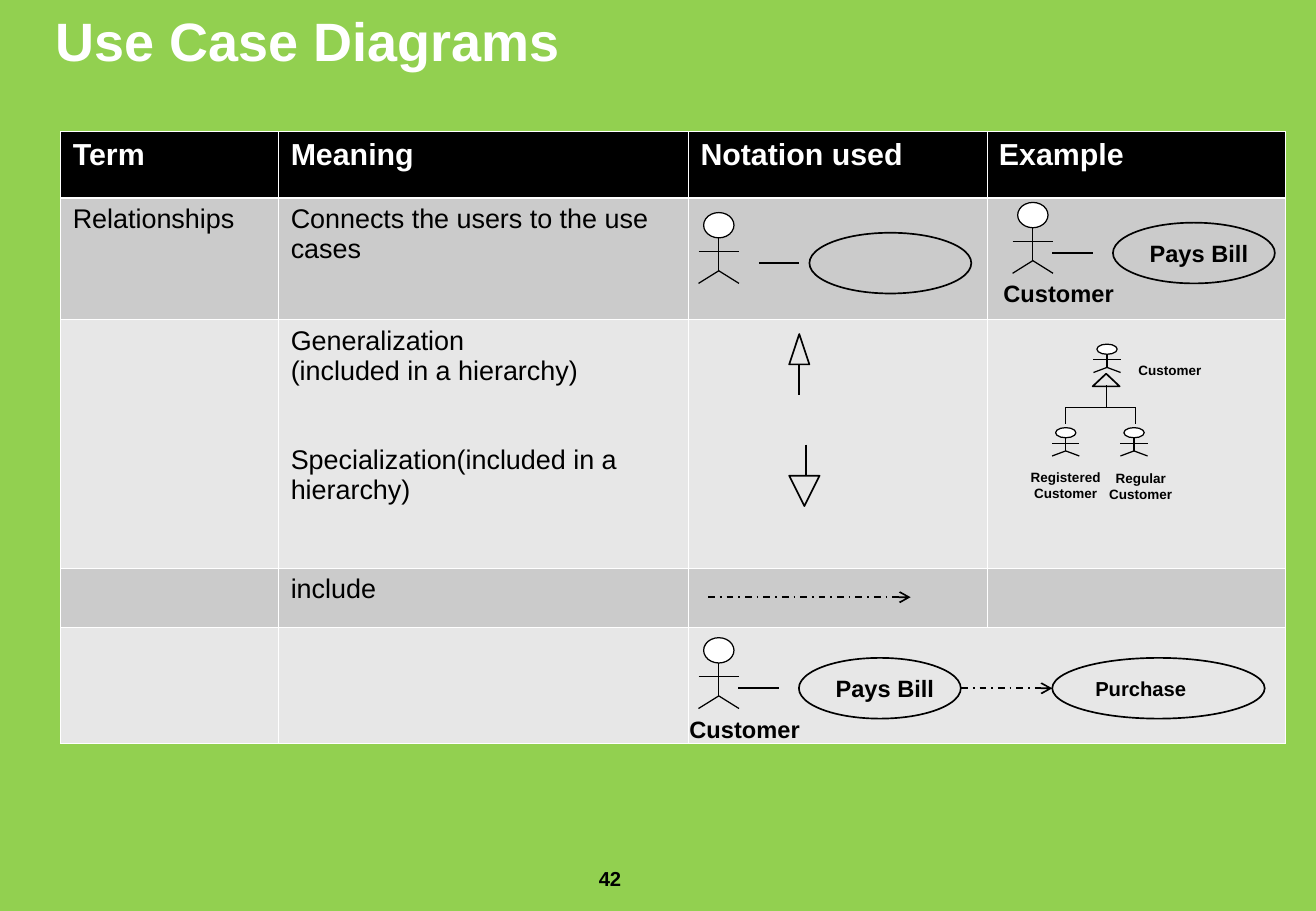
from lxml import etree
from pptx import Presentation
from pptx.dml.color import RGBColor
from pptx.enum.dml import MSO_LINE
from pptx.enum.shapes import MSO_CONNECTOR, MSO_SHAPE
from pptx.enum.text import MSO_ANCHOR, PP_ALIGN
from pptx.oxml import parse_xml
from pptx.oxml.ns import qn
from pptx.util import Pt

OVAL, TRIANGLE = MSO_SHAPE.OVAL, MSO_SHAPE.ISOSCELES_TRIANGLE
STRAIGHT, DASH_DOT = MSO_CONNECTOR.STRAIGHT, MSO_LINE.DASH_DOT
LEFT, CENTER = PP_ALIGN.LEFT, PP_ALIGN.CENTER
TOP, MIDDLE = MSO_ANCHOR.TOP, MSO_ANCHOR.MIDDLE
NS = "http://schemas.openxmlformats.org/drawingml/2006/main"
HEX = {"green": "92D050", "black": "000000", "white": "FFFFFF",
       "dark": "CBCBCB", "light": "E7E7E7"}
RGB = {name: RGBColor.from_string(code) for name, code in HEX.items()}


def write(frame, lines, size, color="black", bold=True, align=LEFT):
    """Fill a text frame with one paragraph for each (text, space before)."""
    frame.word_wrap = True
    for i, (text, gap) in enumerate(lines):
        para = frame.add_paragraph() if i else frame.paragraphs[0]
        para.alignment = align
        para.space_before = Pt(gap)
        run = para.add_run()
        run.text = text
        run.font.name = "Arial"
        run.font.size = Pt(size)
        run.font.bold = bold
        run.font.color.rgb = RGB[color]


deck = Presentation()
deck.slide_width, deck.slide_height = Pt(780.4), Pt(540)
slide = deck.slides.add_slide(deck.slide_layouts[5])
slide.background.fill.solid()
slide.background.fill.fore_color.rgb = RGB["green"]
shapes = slide.shapes

title = shapes.title
title.left, title.top, title.width, title.height = Pt(26), Pt(1), Pt(636), Pt(76)
title.text_frame.vertical_anchor = TOP
write(title.text_frame, [("Use Case Diagrams", 0)], 32, "white")

# Table of terms
widths = [129.25, 243, 177, 177]
heights = [39.5, 72, 147.5, 35, 68.5]
texts = {
    (0, 0): [("Term", 0)],
    (0, 1): [("Meaning", 0)],
    (0, 2): [("Notation used", 0)],
    (0, 3): [("Example", 0)],
    (1, 0): [("Relationships", 0)],
    (1, 1): [("Connects the users to the use cases", 0)],
    (2, 1): [("Generalization", 0), ("(included in a hierarchy)", 0),
             ("Specialization(included in a hierarchy)", 35.5)],
    (3, 1): [("include", 0)],
}
table = shapes.add_table(len(heights), len(widths), Pt(36), Pt(78),
                         Pt(sum(widths)), Pt(sum(heights))).table
for col, width in zip(table.columns, widths):
    col.width = Pt(width)
for row, height in zip(table.rows, heights):
    row.height = Pt(height)
for r in range(len(heights)):
    for c in range(len(widths)):
        cell = table.cell(r, c)
        for side in "LRTB":
            thick = (r, side) in [(0, "B"), (1, "T")]
            weight = Pt(1.5 if thick else 0.45)
            cell._tc.get_or_add_tcPr().append(parse_xml(
                f'<a:ln{side} xmlns:a="{NS}" w="{weight}"><a:solidFill>'
                f'<a:srgbClr val="{HEX["white"]}"/></a:solidFill></a:ln{side}>'))
        cell.fill.solid()
        cell.fill.fore_color.rgb = RGB["black" if r == 0 else "dark" if r % 2 else "light"]
        if (r, c) in texts:
            head = r == 0
            write(cell.text_frame, texts[r, c], 18 if head else 16,
                  "white" if head else "black", head)
table.cell(4, 2).merge(table.cell(4, 3))

# Symbols: (kind, left, top, width, height, fill, line weight, turn)
marks = [
    (OVAL, 480, 138, 96, 36, None, 1, 0),
    (TRIANGLE, 468, 198, 12, 18, None, 1, 0),
    (TRIANGLE, 468, 282, 18, 18, None, 1, 180),
    (TRIANGLE, 648, 221.5, 16, 7.5, None, 1, 0),
]
# Lines: (x1, y1, x2, y2, weight)
lines = [
    (450, 156, 474, 156, 1),
    (474, 216, 474, 234, 1),
    (478, 263.5, 478, 281.5, 1),
    (656, 228.5, 656, 241.5, 0.75),
    (632, 241.5, 673.5, 241.5, 0.75),
    (632, 241.5, 632, 251.5, 0.75),
    (673.5, 241.5, 673.5, 251.5, 0.75),
]
# Labels: (text, left, top, width, height, size, align)
labels = [
    ("42", 348, 510, 66, 37, 12, LEFT),
    ("Customer", 668, 211, 88, 17, 8, LEFT),
    ("Registered Customer", 588, 274.5, 88, 27, 8, CENTER),
    ("Regular Customer", 644.5, 275, 64, 27, 8, CENTER),
]
# Actors: (center, top, x scale, y scale)
actors = [(426.25, 126, 1, 1), (656.5, 204, 0.67, 0.4),
          (632, 253.5, 0.67, 0.4), (672.5, 253.5, 0.67, 0.4)]

# A customer who pays a bill, in the example cell and the last row
for x, y in [(612.5, 120), (426.25, 378)]:
    actors.append((x, y, 1, 1))
    marks.append((OVAL, x + 47.5, y + 12, 96, 36, None, 1, 0))
    lines.append((x + 11.5, y + 30, x + 35.5, y + 30, 1))
    labels += [("Pays Bill", x + 29.5, y + 18, 138, 24.5, 14, CENTER),
               ("Customer", x - 24.5, y + 42, 138, 24.5, 14, LEFT)]

for x, y, sx, sy in actors:
    marks.append((OVAL, x - 9 * sx, y, 18 * sx, 15 * sy, "white", 0.75, 0))
    arm, hip, foot, half = y + 23 * sy, y + 34.5 * sy, y + 42 * sy, 12 * sx
    lines += [(x, y + 15 * sy, x, hip, 0.75),
              (x - half, arm, x + half, arm, 0.75),
              (x, hip, x - half, foot, 0.75),
              (x, hip, x + half, foot, 0.75)]

marks.append((OVAL, 624, 390, 126, 36, None, 1, 0))
for kind, x, y, w, h, fill, weight, turn in marks:
    mark = shapes.add_shape(kind, Pt(x), Pt(y), Pt(w), Pt(h))
    mark.shadow.inherit = False
    mark.rotation = turn
    mark.line.color.rgb = RGB["black"]
    mark.line.width = Pt(weight)
    if fill:
        mark.fill.solid()
        mark.fill.fore_color.rgb = RGB[fill]
    else:
        mark.fill.background()
# The last oval holds its own text
mark.text_frame.vertical_anchor = MIDDLE
write(mark.text_frame, [("Purchase", 0)], 12)

arrows = [(420, 354, 540, 354, 1), (570, 408, 624, 408, 1)]
for item in lines + arrows:
    x1, y1, x2, y2, weight = item
    link = shapes.add_connector(STRAIGHT, Pt(x1), Pt(y1), Pt(x2), Pt(y2))
    link.line.color.rgb = RGB["black"]
    link.line.width = Pt(weight)
    if item in arrows:
        link.line.dash_style = DASH_DOT
        etree.SubElement(link.line._get_or_add_ln(), qn("a:tailEnd"), type="arrow")
    etree.SubElement(link._element.spPr, qn("a:effectLst"))

for text, x, y, w, h, size, align in labels:
    box = shapes.add_textbox(Pt(x), Pt(y), Pt(w), Pt(h))
    write(box.text_frame, [(text, 0)], size, align=align)

deck.save("out.pptx")
